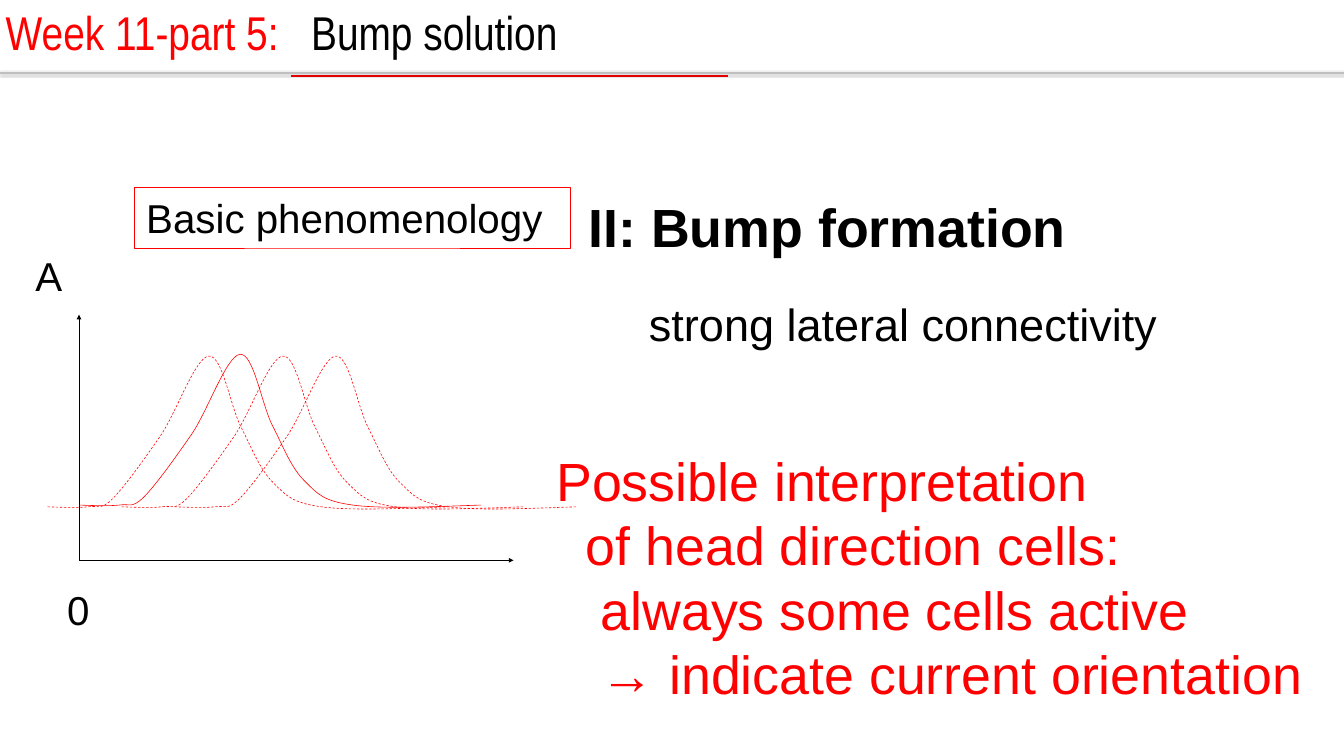
from dataclasses import dataclass

from lxml.etree import SubElement
from pptx import Presentation
from pptx.dml.color import RGBColor
from pptx.enum.dml import MSO_LINE
from pptx.enum.shapes import MSO_CONNECTOR
from pptx.enum.text import MSO_ANCHOR, MSO_AUTO_SIZE, PP_ALIGN
from pptx.oxml.ns import qn
from pptx.util import Inches, Pt

WIDTH, HEIGHT = Inches(23.63), Inches(13.29)
RED, BLACK, GREY = "FF0000", "000000", "BFBFBF"
SPACE_WIDTH = Inches(0.26)
BUMP_START = (0, 97.45)
BUMP_CURVES = [
    ((3.68, 97.82), (7.5, 98.18), (10.04, 97.45)),
    ((12.73, 96.36), (13.01, 100), (16.12, 92.36)),
    ((19.09, 84.73), (24.05, 66.91), (28.15, 51.64)),
    ((32.11, 36.36), (36.78, 1.82), (40.03, 1.09)),
    ((43.42, 0), (45.4, 33.09), (48.09, 46.55)),
    ((50.78, 60), (52.76, 73.82), (56.15, 82.18)),
    ((59.41, 90.55), (60.82, 94.91), (68.03, 97.45)),
    ((75.39, 100), (87.69, 98.55), (100, 97.45)),
]


@dataclass
class Place:
    """A rectangle in percent of the slide's width and height."""
    left: float
    top: float
    width: float
    height: float


@dataclass
class Label:
    """A single line of text."""
    text: str
    place: Place
    size: int
    bold: bool = False
    outline: str = ""


@dataclass
class Stroke:
    """A straight line with its ends in percent of the slide."""
    start: tuple[float, float]
    end: tuple[float, float]
    color: str
    weight: float
    arrow: bool = False
    shadow: bool = False


@dataclass
class Bump:
    """One activity bump over the neuron axis."""
    left: float
    top: float
    dashed: bool = True


LABELS = [
    Label("Basic phenomenology", Place(9.99, 24.76, 32.42, 8.05), 51, outline=RED),
    Label("0", Place(4.1, 76.52, 3.47, 8.05), 51),
    Label("A", Place(1.74, 32.43, 3.81, 8.05), 51),
    Label("II: Bump formation", Place(42.91, 24.76, 37.66, 10.23), 68, bold=True),
    Label("strong lateral connectivity", Place(47.4, 38.37, 39.99, 8.8), 57),
]
STROKES = [
    Stroke((5.88, 74.12), (38.21, 74.12), BLACK, 0.75, arrow=True),
    Stroke((5.88, 74.12), (5.88, 41.61), BLACK, 0.75, arrow=True),
    Stroke((21.67, 10.01), (54.17, 10.01), RED, 2.25),
    Stroke((0, 9.63), (100, 9.63), GREY, 2, shadow=True),
]
BUMPS = [Bump(5.88, 46.65, dashed=False)] + [Bump(left, 46.88) for left in (12.99, 9.06, 3.55)]
INTERPRETATION = [
    ("Possible interpretation", 0),
    ("of head direction cells:", 2),
    ("always some cells active", 3),
    ("→ indicate current orientation", 3),
]


def across(share: float) -> int:
    """Turn a percentage of the slide's width into a length."""
    return round(WIDTH * share / 100)


def down(share: float) -> int:
    """Turn a percentage of the slide's height into a length."""
    return round(HEIGHT * share / 100)


def color(value: str) -> RGBColor:
    """Turn a hex string into a colour."""
    return RGBColor.from_string(value)


def move(box, place: Place) -> None:
    """Put a box at its place."""
    box.left, box.top = across(place.left), down(place.top)
    box.width, box.height = across(place.width), down(place.height)


def set_frame(frame, side: float, top: float) -> None:
    """Give a text frame its margins, wrapping and anchor."""
    frame.word_wrap = True
    frame.auto_size = MSO_AUTO_SIZE.NONE
    frame.vertical_anchor = MSO_ANCHOR.TOP
    frame.margin_left = frame.margin_right = Inches(side)
    frame.margin_top = frame.margin_bottom = Inches(top)


def style(span, size: int, value: str, font: str = "Arial", bold: bool = False) -> None:
    """Format one run."""
    span.font.name, span.font.size, span.font.bold = font, Pt(size), bold
    span.font.color.rgb = color(value)


def draw_title(page) -> None:
    """Fill the title with its week number and topic."""
    box = page.shapes.title
    move(box, Place(0, 0, 96.53, 12.11))
    set_frame(box.text_frame, 0.1, 0.05)
    para = box.text_frame.paragraphs[0]
    para.alignment = PP_ALIGN.LEFT
    tabs = SubElement(para._p.get_or_add_pPr(), qn("a:tabLst"))
    SubElement(tabs, qn("a:tab"), pos=str(Inches(5.37)), algn="l")
    for text, value in (("Week 11-part 5:\t", RED), ("Bump solution", BLACK)):
        span = para.add_run()
        span.text = text
        style(span, 60, value, "Arial Narrow")


def draw_interpretation(page) -> None:
    """Fill the body with the stepped lines of the interpretation."""
    box = page.placeholders[1]
    move(box, Place(40.5, 58.39, 57.85, 36.04))
    frame = box.text_frame
    set_frame(frame, 0.21, 0.11)
    frame.text = "\n".join(text for text, _ in INTERPRETATION)
    for para, (_, spaces) in zip(frame.paragraphs, INTERPRETATION):
        properties = para._p.get_or_add_pPr()
        properties.set("marL", str(spaces * SPACE_WIDTH))
        properties.set("indent", "0")
        SubElement(properties, qn("a:buNone"))
        para.space_before = Pt(0)
        style(para.runs[0], 68, RED)


def draw_label(page, label: Label) -> None:
    """Write one label, outlined if it asks for it."""
    box = page.shapes.add_textbox(0, 0, 0, 0)
    move(box, label.place)
    set_frame(box.text_frame, 0.21, 0.11)
    if label.outline:
        box.line.color.rgb, box.line.width = color(label.outline), Pt(0.75)
    box.text_frame.text = label.text
    style(box.text_frame.paragraphs[0].runs[0], label.size, BLACK, bold=label.bold)


def draw_stroke(page, stroke: Stroke) -> None:
    """Draw one line with its arrowhead or shadow."""
    ends = [length(share) for point in (stroke.start, stroke.end)
            for length, share in zip((across, down), point)]
    line = page.shapes.add_connector(MSO_CONNECTOR.STRAIGHT, *ends)
    line.line.color.rgb, line.line.width = color(stroke.color), Pt(stroke.weight)
    properties = line.element.spPr
    if stroke.arrow:
        SubElement(properties.find(qn("a:ln")), qn("a:tailEnd"), type="triangle")
    effects = SubElement(properties, qn("a:effectLst"))
    if stroke.shadow:
        shadow = SubElement(effects, qn("a:outerShdw"), blurRad=str(Pt(3.1)),
                            dist=str(Pt(1.6)), dir="5400000", rotWithShape="0")
        tint = SubElement(shadow, qn("a:srgbClr"), val=BLACK)
        SubElement(tint, qn("a:alpha"), val="38000")


def bend(outline) -> None:
    """Turn each three straight segments of an outline into one cubic curve."""
    segments = list(outline.element.iter(qn("a:lnTo")))
    track = segments[0].getparent()
    for first in range(0, len(segments), 3):
        curve = SubElement(track, qn("a:cubicBezTo"))
        for segment in segments[first:first + 3]:
            curve.append(segment[0])
            track.remove(segment)


def draw_bump(page, bump: Bump) -> None:
    """Draw one bump as an open curve."""
    corners = [BUMP_START, *(corner for curve in BUMP_CURVES for corner in curve)]
    points = [(across(bump.left + 0.2992 * x), down(bump.top + 0.2069 * y)) for x, y in corners]
    builder = page.shapes.build_freeform(*points[0])
    builder.add_line_segments(points[1:], close=False)
    outline = builder.convert_to_shape()
    bend(outline)
    outline.shadow.inherit = False
    outline.fill.background()
    outline.line.color.rgb, outline.line.width = color(RED), Pt(0.75)
    if bump.dashed:
        outline.line.dash_style = MSO_LINE.DASH


def main() -> None:
    """Build the slide and save it."""
    deck = Presentation()
    deck.slide_width, deck.slide_height = WIDTH, HEIGHT
    page = deck.slides.add_slide(deck.slide_layouts[1])
    draw_title(page)
    draw_interpretation(page)
    for draw, items in ((draw_label, LABELS), (draw_stroke, STROKES), (draw_bump, BUMPS)):
        for item in items:
            draw(page, item)
    deck.save("out.pptx")


if __name__ == "__main__":
    main()
